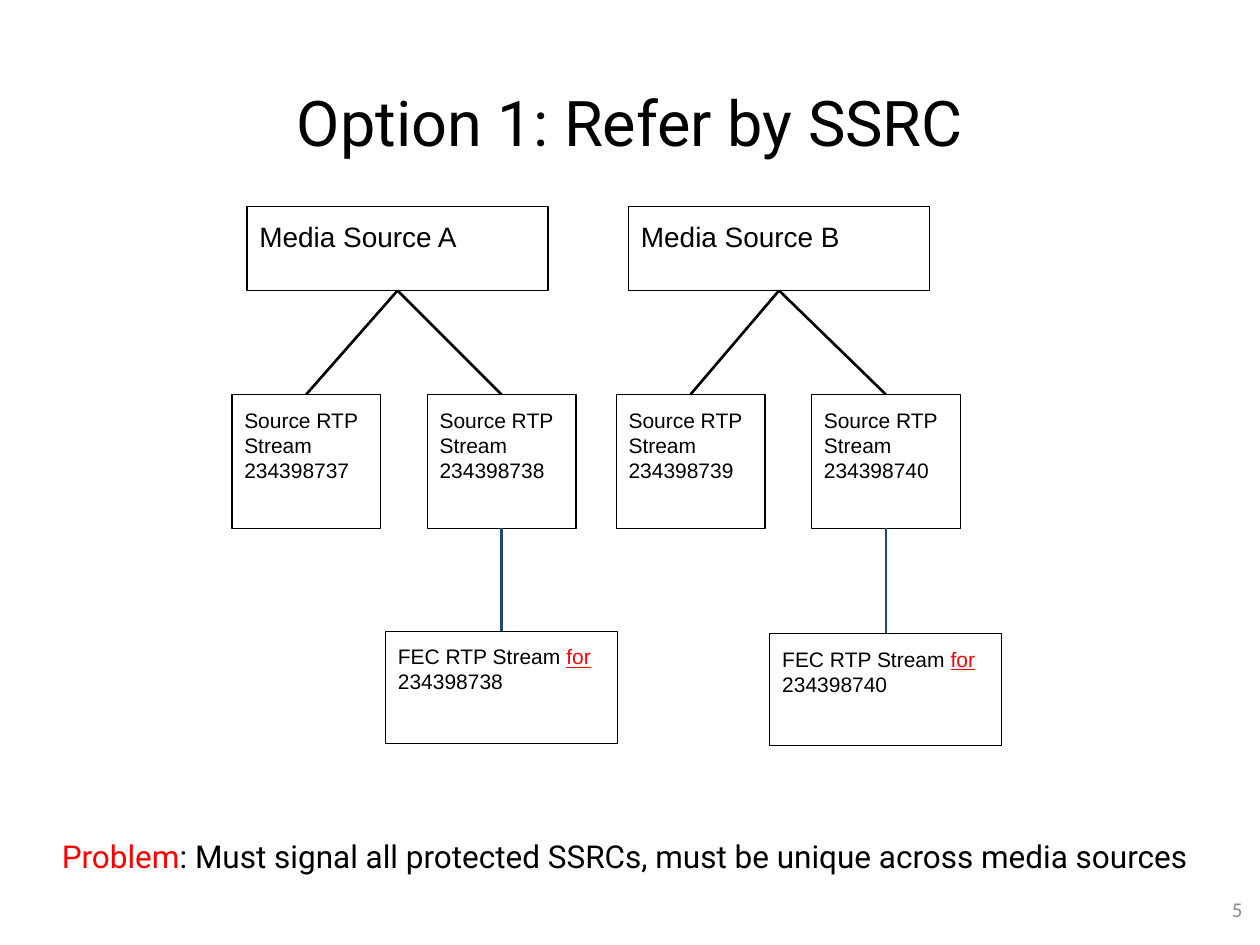
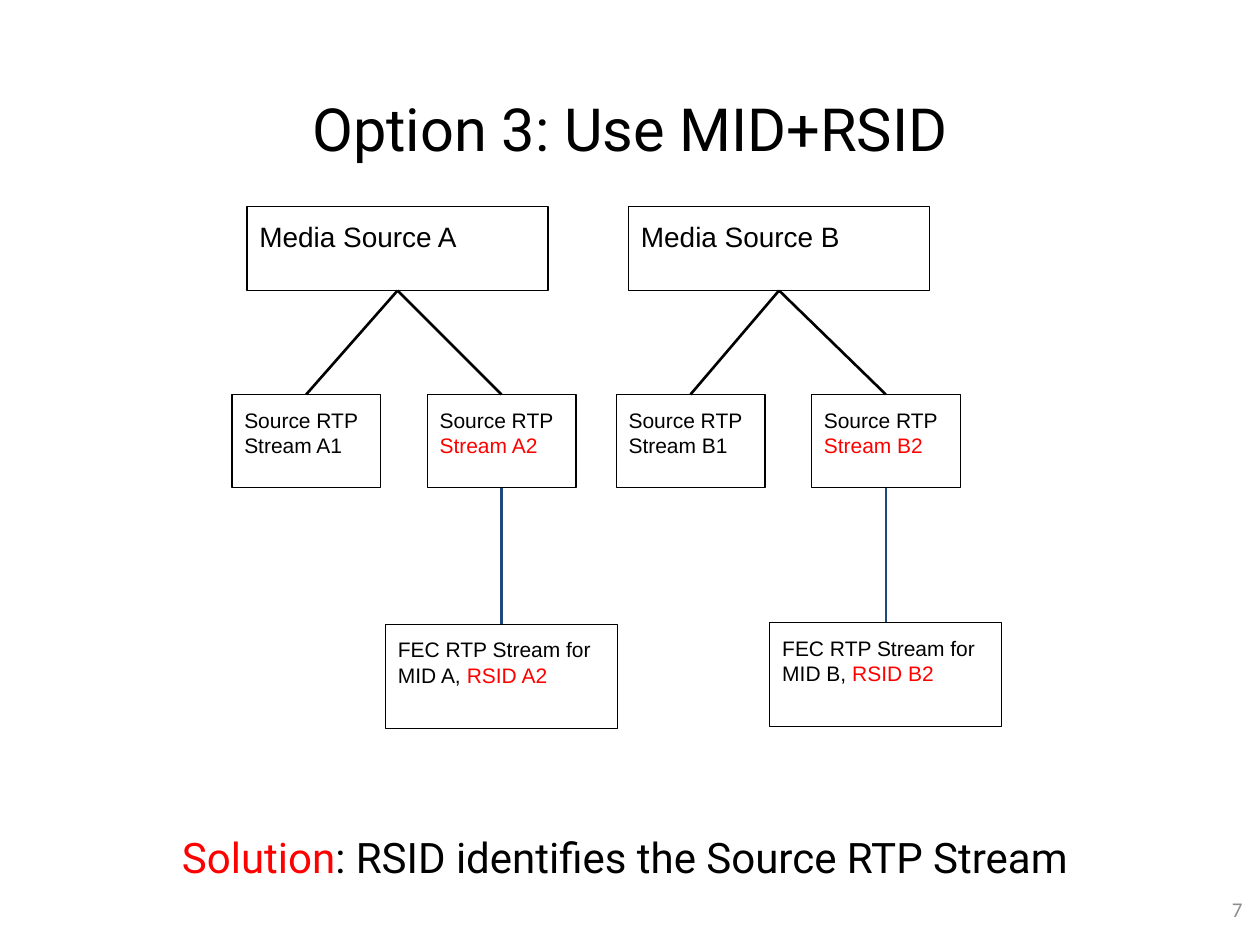
from lxml import etree
from pptx import Presentation
from pptx import util as u
from pptx.dml import color
from pptx.enum import shapes, text
from pptx.oxml import ns

BLACK, RED, NAVY, GRAY = "000000", "FF0000", "1F497D", "8C8C8C"
LEFT, CENTER, RIGHT = text.PP_ALIGN.LEFT, text.PP_ALIGN.CENTER, text.PP_ALIGN.RIGHT
TOP, MIDDLE, BOTTOM = text.MSO_ANCHOR.TOP, text.MSO_ANCHOR.MIDDLE, text.MSO_ANCHOR.BOTTOM
SOURCE_WIDTH, SOURCE_HEIGHT, SOURCE_TOP = 172, 48, 118
STREAM_WIDTH, STREAM_TOP = 85, 225.4
FEC_WIDTH = 132.5

SOURCES = [("A", 141.2, (132.5, 244.1)), ("B", 359.2, (352.1, 463.7))]

SLIDES = [
    {
        "title": "Option 1: Refer by SSRC", "title_box": (21.6, 76.3), "title_size": 36,
        "streams": {
            "A": [[[("Source RTP Stream 234398737", BLACK)]],
                  [[("Source RTP Stream", BLACK)], [("234398738", BLACK)]]],
            "B": [[[("Source RTP Stream", BLACK)], [("234398739", BLACK)]],
                  [[("Source RTP Stream", BLACK)], [("234398740", BLACK)]]],
        },
        "stream_height": 76.6,
        "fec": {
            "A": [("FEC RTP Stream ", BLACK), ("for", RED), (" 234398738", BLACK)],
            "B": [("FEC RTP Stream ", BLACK), ("for", RED), (" 234398740", BLACK)],
        },
        "fec_tops": {"A": 360.7, "B": 362}, "fec_height": 64,
        "verdict": [("Problem", RED), (": Must signal all protected SSRCs, must be unique across media sources", BLACK)],
        "verdict_size": 18, "number": "5",
    },
    {
        "title": "Option 3: Use MID+RSID", "title_box": (41, 59.8), "title_size": 34,
        "streams": {
            "A": [[[("Source RTP Stream A1", BLACK)]],
                  [[("Source RTP ", BLACK), ("Stream A2", RED)]]],
            "B": [[[("Source RTP Stream B1", BLACK)]],
                  [[("Source RTP ", BLACK), ("Stream B2", RED)]]],
        },
        "stream_height": 53.3,
        "fec": {
            "A": [("FEC RTP Stream for MID A, ", BLACK), ("RSID A2", RED)],
            "B": [("FEC RTP Stream for MID B, ", BLACK), ("RSID B2", RED)],
        },
        "fec_tops": {"A": 356.7, "B": 355.7}, "fec_height": 59.5,
        "verdict": [("Solution", RED), (": RSID identifies the Source RTP Stream", BLACK)],
        "verdict_size": 24, "number": "7",
    },
]


def rgb(hex_string):
    return color.RGBColor.from_string(hex_string)


def put(shape, box, paragraphs, size, font="Arial", align=LEFT, anchor=TOP, space_before=0):
    shape.left, shape.top, shape.width, shape.height = [u.Pt(length) for length in box]
    if shape.shape_type == shapes.MSO_SHAPE_TYPE.AUTO_SHAPE:
        shape.shadow.inherit = False
        shape.fill.background()
        shape.line.color.rgb = rgb(BLACK)
        shape.line.width = u.Pt(0.75)
    frame = shape.text_frame
    frame.word_wrap = True
    frame.auto_size = text.MSO_AUTO_SIZE.NONE
    frame.vertical_anchor = anchor
    frame.margin_left = frame.margin_right = frame.margin_top = frame.margin_bottom = u.Pt(7.2)
    for index, runs in enumerate(paragraphs):
        paragraph = frame.add_paragraph() if index else frame.paragraphs[0]
        paragraph.alignment = align
        paragraph.space_before = u.Pt(space_before)
        paragraph.font.size = u.Pt(size)
        paragraph.font.name = font
        for words, hex_string in runs:
            run = paragraph.add_run()
            run.text = words
            run.font.color.rgb = rgb(hex_string)
            if words == "for":
                run.font.underline = True
    return shape


presentation = Presentation()
presentation.slide_width, presentation.slide_height = u.Pt(720), u.Pt(540)

for content in SLIDES:
    slide = presentation.slides.add_slide(presentation.slide_layouts[5])
    title_top, title_height = content["title_box"]
    put(slide.shapes.title, (36, title_top, 648, title_height), [[(content["title"], BLACK)]],
        content["title_size"], "Roboto", CENTER, BOTTOM)

    links = []
    for name, source_left, stream_lefts in SOURCES:
        boxes = [
            ((source_left, SOURCE_TOP, SOURCE_WIDTH, SOURCE_HEIGHT), [[(f"Media Source {name}", BLACK)]], 16),
        ]
        for stream_left, paragraphs in zip(stream_lefts, content["streams"][name]):
            boxes.append(((stream_left, STREAM_TOP, STREAM_WIDTH, content["stream_height"]), paragraphs, 12))
        fec_left = stream_lefts[1] + (STREAM_WIDTH - FEC_WIDTH) / 2
        boxes.append(((fec_left, content["fec_tops"][name], FEC_WIDTH, content["fec_height"]),
                      [content["fec"][name]], 12))
        source, first_stream, second_stream, fec = [
            put(slide.shapes.add_shape(shapes.MSO_SHAPE.RECTANGLE, 0, 0, 0, 0), *box) for box in boxes
        ]
        links += [(source, first_stream, BLACK), (source, second_stream, BLACK), (second_stream, fec, NAVY)]

    for upper, lower, hex_string in links:
        connector = slide.shapes.add_connector(shapes.MSO_CONNECTOR.STRAIGHT, 0, 0, 0, 0)
        connector.begin_connect(upper, 2)
        connector.end_connect(lower, 0)
        connector.line.color.rgb = rgb(hex_string)
        connector.line.width = u.Pt(1.5)
        etree.SubElement(connector._element.spPr, ns.qn("a:effectLst"))

    put(slide.shapes.add_textbox(0, 0, 0, 0), (-2.9, 437.8, 720, 103), [content["verdict"]],
        content["verdict_size"], "Roboto", CENTER, MIDDLE, 6)
    put(slide.shapes.add_textbox(0, 0, 0, 0), (674, 499, 43.2, 41), [[(content["number"], GRAY)]],
        12, "Calibri", RIGHT, MIDDLE)

presentation.save("out.pptx")
